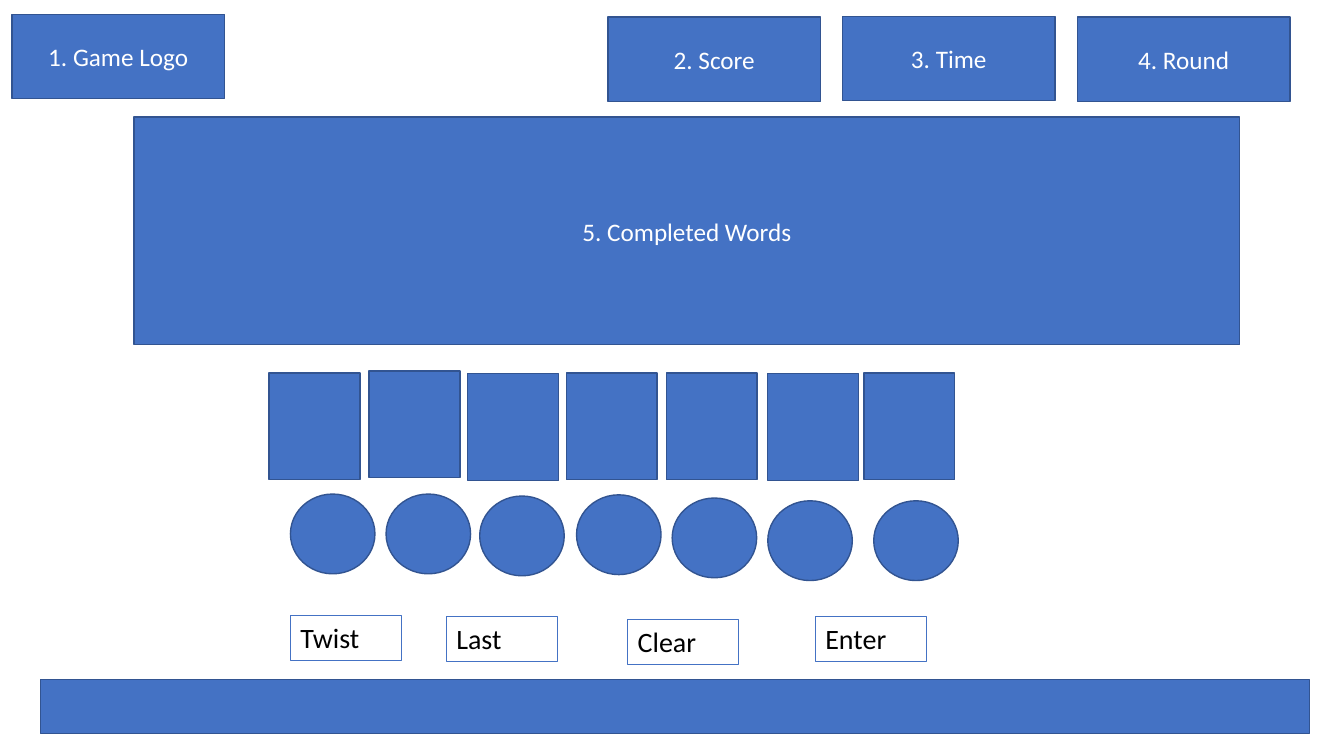
import dataclasses
import typing

import pptx
import pptx.dml.color
import pptx.enum.shapes
import pptx.enum.text
import pptx.shapes.autoshape
import pptx.shapes.shapetree
import pptx.util

Cm = pptx.util.Cm
Pt = pptx.util.Pt
RGB = pptx.dml.color.RGBColor
MSO_SHAPE = pptx.enum.shapes.MSO_SHAPE
Position = tuple[float, float]


@dataclasses.dataclass(frozen=True)
class Theme:
    font: str = "Calibri"
    panel_fill: RGB = RGB(0x44, 0x72, 0xC4)
    panel_line: RGB = RGB(0x32, 0x54, 0x91)
    panel_text: RGB = RGB(0xFF, 0xFF, 0xFF)
    button_text: RGB = RGB(0x00, 0x00, 0x00)
    panel_size: Pt = Pt(18)
    button_size: Pt = Pt(20)
    panel_line_width: Pt = Pt(1)
    button_line_width: Pt = Pt(0.75)


@dataclasses.dataclass(frozen=True)
class Box:
    """A part of the game screen, with lengths in centimetres."""
    left: float
    top: float
    width: float
    height: float
    label: str = ""

    def bounds(self) -> tuple[Cm, Cm, Cm, Cm]:
        return Cm(self.left), Cm(self.top), Cm(self.width), Cm(self.height)


THEME = Theme()

HEADER_SIZE = (5.36, 2.13)
TILE_SIZE = (2.29, 2.69)
LETTER_SIZE = (2.13, 2.01)
BUTTON_SIZE = (2.79, 1.12)

PANELS = [
    Box(0.3, 0.36, *HEADER_SIZE, "1. Game Logo"),
    Box(15.32, 0.43, *HEADER_SIZE, "2. Score"),
    Box(21.23, 0.41, *HEADER_SIZE, "3. Time"),
    Box(27.15, 0.43, *HEADER_SIZE, "4. Round"),
    Box(3.38, 2.95, 27.86, 5.74, "5. Completed Words"),
    Box(1.02, 17.12, 31.98, 1.37),
]
TILE_POSITIONS: list[Position] = [
    (6.78, 9.4), (9.3, 9.35), (11.79, 9.42), (14.27, 9.4),
    (16.79, 9.4), (19.35, 9.42), (21.77, 9.4),
]
LETTER_POSITIONS: list[Position] = [
    (7.32, 12.45), (9.73, 12.45), (12.09, 12.5), (14.53, 12.47),
    (16.94, 12.55), (19.35, 12.62), (22.02, 12.62),
]
BUTTONS = [
    Box(7.32, 15.52, *BUTTON_SIZE, "Twist"),
    Box(11.25, 15.54, *BUTTON_SIZE, "Last"),
    Box(15.82, 15.62, *BUTTON_SIZE, "Clear"),
    Box(20.55, 15.54, *BUTTON_SIZE, "Enter"),
]


def write_label(shape: pptx.shapes.autoshape.Shape, label: str, size: Pt, color: RGB) -> None:
    shape.text_frame.word_wrap = True
    paragraph = shape.text_frame.paragraphs[0]
    paragraph.text = label
    paragraph.font.name = THEME.font
    paragraph.font.size = size
    paragraph.font.color.rgb = color


def draw_panel(shapes: typing.Any, box: Box, kind: MSO_SHAPE = MSO_SHAPE.RECTANGLE) -> None:
    panel = shapes.add_shape(kind, *box.bounds())
    panel.shadow.inherit = False
    panel.fill.solid()
    panel.fill.fore_color.rgb = THEME.panel_fill
    panel.line.color.rgb = THEME.panel_line
    panel.line.width = THEME.panel_line_width
    if box.label:
        write_label(panel, box.label, THEME.panel_size, THEME.panel_text)
        panel.text_frame.vertical_anchor = pptx.enum.text.MSO_ANCHOR.MIDDLE
        panel.text_frame.paragraphs[0].alignment = pptx.enum.text.PP_ALIGN.CENTER


def draw_row(shapes: pptx.shapes.shapetree.SlideShapes, positions: list[Position],
             size: tuple[float, float], kind: MSO_SHAPE) -> None:
    row = shapes.add_group_shape()
    for left, top in positions:
        draw_panel(row.shapes, Box(left, top, *size), kind)


def draw_button(shapes: pptx.shapes.shapetree.SlideShapes, box: Box) -> None:
    button = shapes.add_textbox(*box.bounds())
    button.line.color.rgb = THEME.panel_fill
    button.line.width = THEME.button_line_width
    write_label(button, box.label, THEME.button_size, THEME.button_text)
    button.text_frame.auto_size = pptx.enum.text.MSO_AUTO_SIZE.SHAPE_TO_FIT_TEXT


def main() -> None:
    deck = pptx.Presentation()
    deck.slide_width, deck.slide_height = Cm(33.87), Cm(19.05)
    shapes = deck.slides.add_slide(deck.slide_layouts[6]).shapes

    # Header, completed words and footer bar
    for panel in PANELS:
        draw_panel(shapes, panel)

    # Answer tiles above the letters to choose from
    draw_row(shapes, TILE_POSITIONS, TILE_SIZE, MSO_SHAPE.RECTANGLE)
    draw_row(shapes, LETTER_POSITIONS, LETTER_SIZE, MSO_SHAPE.OVAL)

    # Game controls
    for button in BUTTONS:
        draw_button(shapes, button)

    deck.save("out.pptx")


if __name__ == "__main__":
    main()
